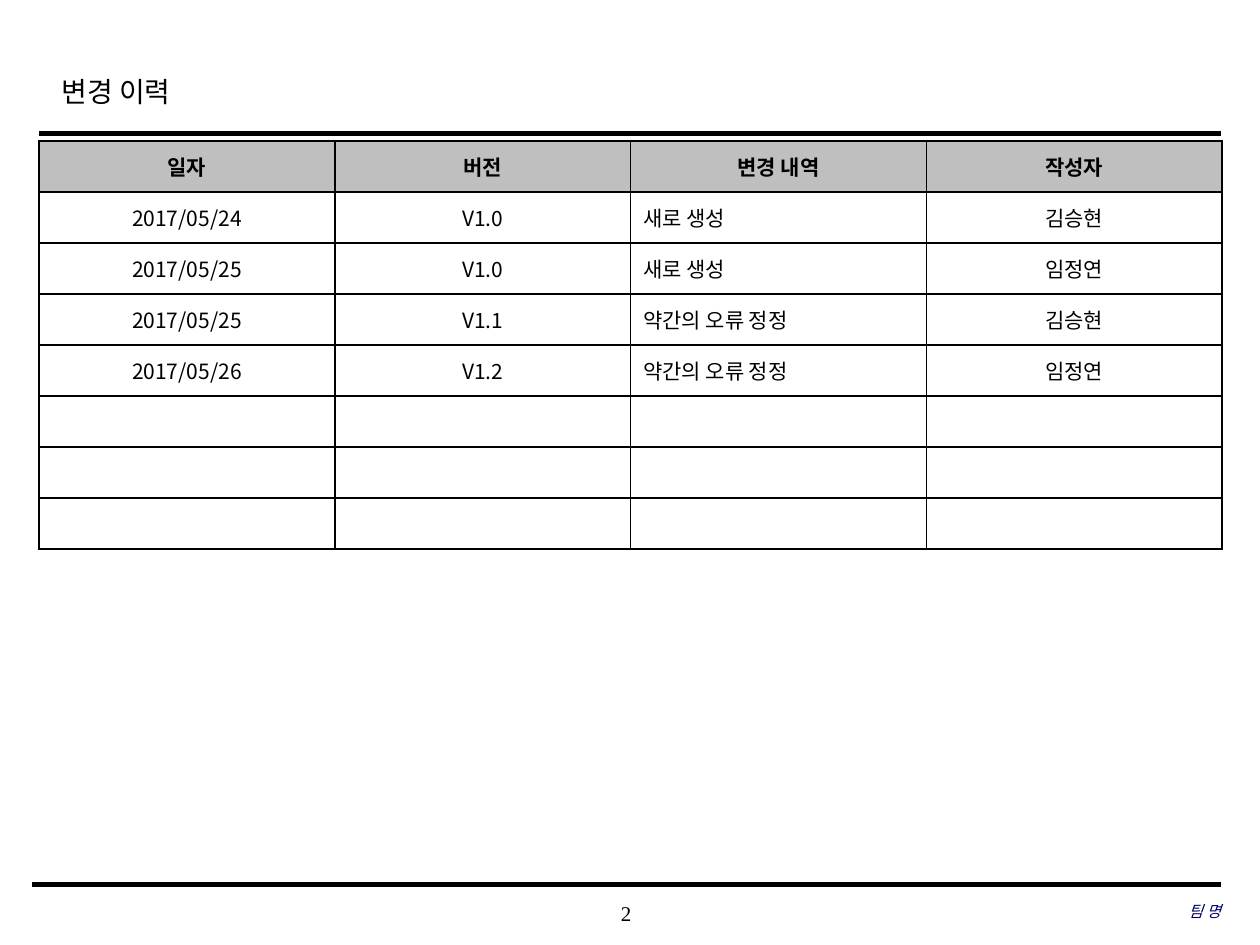
from lxml.etree import SubElement
from pptx import Presentation
from pptx.dml.color import RGBColor
from pptx.enum.shapes import MSO_CONNECTOR as Connector
from pptx.enum.text import MSO_ANCHOR as Anchor, PP_ALIGN as Align
from pptx.oxml.ns import qn
from pptx.util import Inches, Pt

COLORS = {"ink": "000000", "header": "BFBFBF", "paper": "FFFFFF", "team": "000066"}
SERIF, SANS = "Times New Roman", "Noto Sans CJK KR"
COLS, ROWS = 100, 75


def rgb(name):
    return RGBColor.from_string(COLORS[name])


class Page:
    def __init__(self, prs):
        self.s = prs.slides.add_slide(prs.slide_layouts[6])
        self.col = prs.slide_width / COLS
        self.row = prs.slide_height / ROWS

    def box(self, x, y, w, h):
        return [round(v) for v in (x * self.col, y * self.row, w * self.col, h * self.row)]

    def style(self, p, size, font=SERIF, color="ink", align=Align.LEFT, bold=False, italic=False):
        p.alignment = align
        f = p.font
        f.size, f.name, f.bold, f.italic = Pt(size), font, bold, italic
        f.color.rgb = rgb(color)
        SubElement(f._rPr, qn("a:ea"), typeface=SANS)

    def text(self, text, at, size, inset=(0, 0), anchor=Anchor.MIDDLE, spacing=None, **look):
        tf = self.s.shapes.add_textbox(*self.box(*at)).text_frame
        tf.word_wrap, tf.vertical_anchor = True, anchor
        tf.margin_left = tf.margin_right = Inches(inset[0])
        tf.margin_top = tf.margin_bottom = Inches(inset[1])
        p = tf.paragraphs[0]
        p.text = text
        p.line_spacing = spacing
        self.style(p, size, **look)

    def rule(self, left, right, y, width):
        x1, y1, x2, _ = self.box(left, y, right, 0)
        line = self.s.shapes.add_connector(Connector.STRAIGHT, x1, y1, x2, y1)
        line.line.color.rgb, line.line.width = rgb("ink"), Pt(width)
        SubElement(line._element.spPr, qn("a:effectLst"))

    def border(self, cell):
        tcPr = cell._tc.get_or_add_tcPr()
        for i, side in enumerate(("lnL", "lnR", "lnT", "lnB")):
            ln = tcPr.makeelement(qn("a:" + side), {"w": str(Pt(1))})
            SubElement(SubElement(ln, qn("a:solidFill")), qn("a:srgbClr"), val=COLORS["ink"])
            tcPr.insert(i, ln)

    def table(self, header, records, rows, at, left_column):
        table = self.s.shapes.add_table(rows, len(header), *self.box(*at)).table
        data = [header] + records
        for r in range(rows):
            for c in range(len(header)):
                cell = table.cell(r, c)
                cell.vertical_anchor = Anchor.MIDDLE
                cell.margin_top = cell.margin_bottom = Inches(0.02)
                cell.fill.solid()
                cell.fill.fore_color.rgb = rgb("paper" if r else "header")
                self.border(cell)
                if r < len(data):
                    p = cell.text_frame.paragraphs[0]
                    p.text = data[r][c]
                    align = Align.LEFT if r and c == left_column else Align.CENTER
                    self.style(p, 12, SANS, align=align, bold=r == 0)


HEADER = ("일자", "버전", "변경 내역", "작성자")
HISTORY = [
    ("2017/05/24", "V1.0", "새로 생성", "김승현"),
    ("2017/05/25", "V1.0", "새로 생성", "임정연"),
    ("2017/05/25", "V1.1", "약간의 오류 정정", "김승현"),
    ("2017/05/26", "V1.2", "약간의 오류 정정", "임정연"),
]

prs = Presentation()
prs.slide_width, prs.slide_height = Inches(10), Inches(7.5)
page = Page(prs)
page.text("2", (39.3, 70.8, 20.8, 3.3), 12, align=Align.CENTER)
page.rule(3.1, 96.9, 10.6, 2.5)
page.rule(2.5, 96.9, 70.2, 3)
page.text("변경 이력", (3.9, 4.9, 75.5, 5), 16, (0.1, 0.05), Anchor.TOP, 1.2)
page.table(HEADER, HISTORY, 8, (3.1, 11.2, 93.9, 32.4), left_column=2)
page.text("팀 명", (66.3, 70.7, 30.6, 3.3), 9, color="team", align=Align.RIGHT, italic=True)
prs.save("out.pptx")
